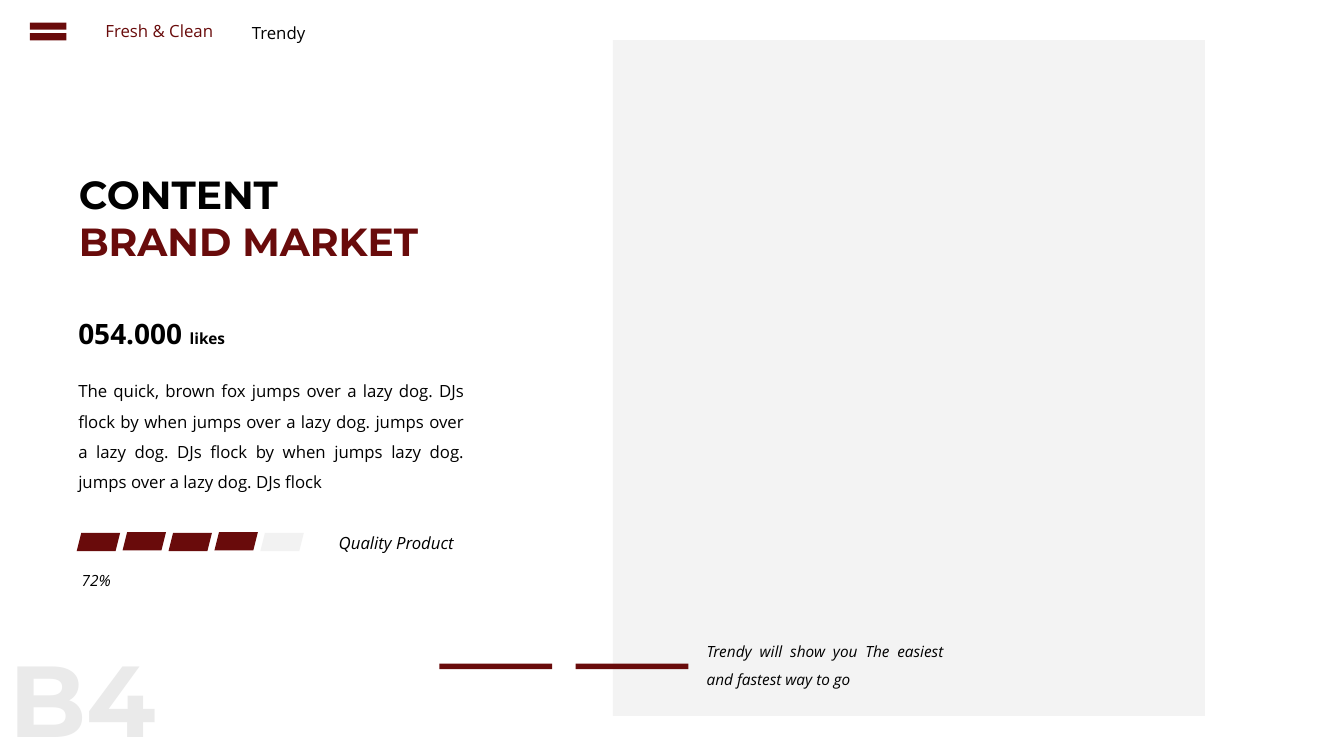
"""Build the brand market content slide."""
from lxml.etree import SubElement
from pptx import Presentation
from pptx.dml.color import RGBColor
from pptx.enum.shapes import MSO_SHAPE as Shape
from pptx.enum.text import MSO_AUTO_SIZE as AutoSize, PP_ALIGN as Align
from pptx.oxml.ns import qn
from pptx.util import Pt

COLORS = {"black": "000000", "maroon": "690B0B", "panel": "F2F2F2", "mark": "EAEAEA"}
BODY, DISPLAY = "Open Sans", "Montserrat"


def rgb(color):
    """Return the named colour."""
    return RGBColor.from_string(COLORS[color])


def add_block(slide, kind, left, top, width, height, color, opacity=None):
    """Add a borderless filled shape, see-through if an opacity percentage is given."""
    block = slide.shapes.add_shape(kind, Pt(left), Pt(top), Pt(width), Pt(height))
    block.shadow.inherit = False
    block.line.fill.background()
    block.fill.solid()
    block.fill.fore_color.rgb = rgb(color)
    if opacity is not None:
        tint = block.fill._xPr.find(".//" + qn("a:srgbClr"))
        SubElement(tint, qn("a:alpha"), val=str(opacity * 1000))


def add_label(slide, left, top, width, height, runs, size, font=BODY, bold=False,
              italic=False, align=Align.LEFT, spacing=None, wrap=True, inset=True):
    """Add one paragraph made of (text, colour, own size or None) runs."""
    label = slide.shapes.add_textbox(Pt(left), Pt(top), Pt(width), Pt(height))
    frame = label.text_frame
    frame.word_wrap = wrap
    frame.auto_size = AutoSize.SHAPE_TO_FIT_TEXT
    if not inset:
        frame.margin_left = frame.margin_right = 0
        frame.margin_top = frame.margin_bottom = 0
    paragraph = frame.paragraphs[0]
    paragraph.alignment = align
    if spacing:
        paragraph.line_spacing = spacing
    paragraph.font.name = font
    paragraph.font.size = Pt(size)
    paragraph.font.bold = bold
    paragraph.font.italic = italic
    for text, color, own_size in runs:
        run = paragraph.add_run()
        run.text = text
        run.font.color.rgb = rgb(color)
        if own_size:
            run.font.size = Pt(own_size)


def add_rating(slide, left, top, filled, total):
    """Add a row of slanted rating bars, every second one slightly raised."""
    for index in range(total):
        add_block(slide, Shape.PARALLELOGRAM, left + index * 32.8, top - index % 2 * 0.6,
                  31, 13, "maroon" if index < filled else "panel")


def add_header(slide):
    """Add the menu icon and the two header labels."""
    add_label(slide, 172, 12.4, 54, 21.8, [("Trendy", "black", None)], 12,
              align=Align.CENTER, wrap=False)
    add_label(slide, 68.2, 11.3, 93, 21.8, [("Fresh & Clean", "maroon", None)], 12,
              wrap=False)
    add_block(slide, Shape.MATH_EQUAL, 16.7, 11.7, 35.5, 21.6, "maroon")


def add_story(slide):
    """Add the title, the like count and the body text."""
    add_label(slide, 49.2, 118.2, 268.6, 75,
              [("CONTENT ", "black", None), ("BRAND MARKET", "maroon", None)],
              28, font=DISPLAY, bold=True)
    add_label(slide, 48.8, 217.4, 168, 34.6,
              [("054.000 ", "black", None), ("likes", "black", 11)],
              20, bold=True, spacing=1.2)
    story = ("The quick, brown fox jumps over a lazy dog. DJs flock by when jumps over "
             "a lazy dog. jumps over a lazy dog. DJs flock by when jumps lazy dog. "
             "jumps over a lazy dog. DJs flock")
    add_label(slide, 48.8, 261.4, 290, 92, [(story, "black", None)], 12,
              align=Align.JUSTIFY, spacing=1.5)


def main():
    """Create the slide and save it."""
    deck = Presentation()
    deck.slide_width, deck.slide_height = Pt(960), Pt(540)
    slide = deck.slides.add_slide(deck.slide_layouts[6])

    add_block(slide, Shape.RECTANGLE, 437.8, 28.6, 422.8, 482.8, "panel", opacity=90)
    add_label(slide, 6.5, 454.6, 110, 85, [("B4", "mark", None)], 72,
              font=DISPLAY, bold=True, wrap=False, inset=False)
    tagline = "Trendy will show you The easiest and fastest way to go"
    add_label(slide, 497.6, 448.6, 183.6, 45.4, [(tagline, "black", None)], 11,
              italic=True, align=Align.JUSTIFY, spacing=1.5)
    for dash_left in (411.2, 313.8):
        add_block(slide, Shape.RECTANGLE, dash_left, 474, 80.6, 4, "maroon")

    add_header(slide)
    add_story(slide)
    add_rating(slide, 54.8, 380.7, filled=4, total=5)
    add_label(slide, 242, 380.6, 116, 14.4, [("Quality Product", "black", None)], 12,
              italic=True, inset=False)
    add_label(slide, 49, 408, 30.2, 13.6, [("72%", "black", None)], 11,
              italic=True, align=Align.RIGHT, inset=False)
    deck.save("out.pptx")


if __name__ == "__main__":
    main()
